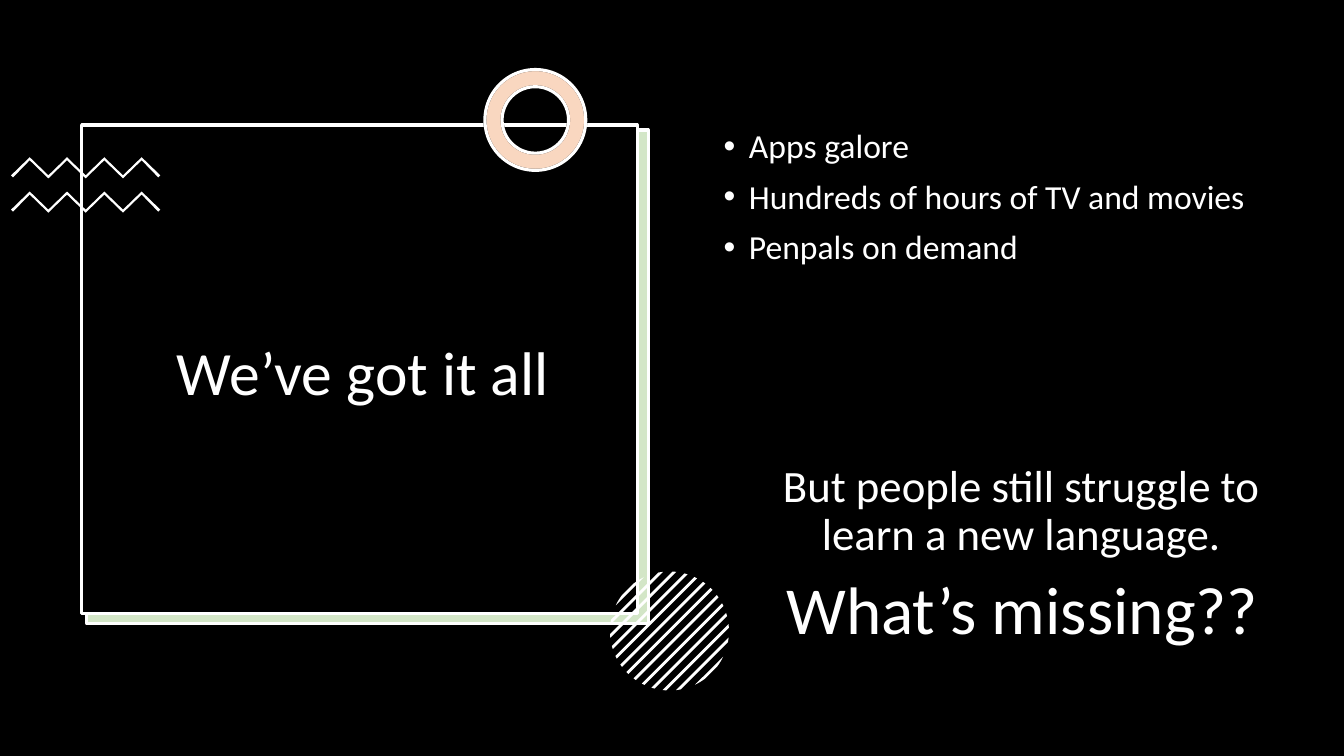
import math

from lxml import etree
from pptx import Presentation
from pptx import util as u
from pptx.dml.color import RGBColor
from pptx.enum import shapes, text
from pptx.oxml.ns import qn

WHITE, BLACK, GREEN, PEACH = "FFFFFF", "000000", "70AD47", "ED7D31"
Inches = u.Inches


def rgb(code):
    return RGBColor.from_string(code)


def paint(shape, fill, line=None, alpha=None):
    """Set fill, outline and fill opacity in percent."""
    shape.shadow.inherit = False
    shape.fill.solid()
    shape.fill.fore_color.rgb = rgb(fill)
    if alpha:
        color = shape.fill._xPr.find(".//" + qn("a:srgbClr"))
        etree.SubElement(color, qn("a:alpha")).set("val", str(alpha * 1000))
    if line:
        shape.line.color.rgb = rgb(line)
        shape.line.width = u.Pt(2.25)
    else:
        shape.line.fill.background()


def add_box(slide, box, fill, line=None, alpha=None, kind="RECTANGLE"):
    shape = slide.shapes.add_shape(
        shapes.MSO_SHAPE[kind], *[Inches(v) for v in box])
    paint(shape, fill, line, alpha)
    return shape


def add_poly(group, points):
    pts = [(Inches(x), Inches(y)) for x, y in points]
    build = group.shapes.build_freeform(*pts[0], scale=1.0)
    build.add_line_segments(pts[1:], close=True)
    paint(build.convert_to_shape(), WHITE)


def add_frame(slide, left, top):
    """Outlined panel with a pale green panel showing behind it."""
    add_box(slide, (left + 0.04, top + 0.06, 5.57, 4.9), WHITE)
    add_box(slide, (left + 0.05, top + 0.05, 5.57, 4.9), GREEN, WHITE, 30)
    add_box(slide, (left, top, 5.51, 4.85), BLACK, WHITE)


def add_waves(slide, left, top, width):
    group = slide.shapes.add_group_shape()
    step = width / 8
    for y in (top, top + 0.34):
        upper = [(left + k * step, y if k % 2 else y + 0.18)
                 for k in range(9)]
        lower = [(x, v + 0.03) for x, v in upper[1:-1]]
        ends = [(left + width - 0.02, y + 0.2), (left + 0.02, y + 0.2)]
        add_poly(group, upper + ends[:1] + lower[::-1] + ends[1:])


def add_ring(slide, left, top, size):
    for look in ((WHITE, BLACK), (PEACH, WHITE, 30)):
        ring = add_box(slide, (left, top, size, size), *look, kind="DONUT")
        ring.adjustments[0] = 0.17


def add_disc(slide, mid_x, mid_y, radius):
    """Circle made of 13 diagonal stripes."""
    group = slide.shapes.add_group_shape()
    gap, half, parts = 0.095, 0.014, 6
    for k in range(-6, 7):
        near, far = [math.acos(max(-1, min(1, (k * gap + d) / radius)))
                     for d in (-half, half)]
        arc = [near + (far - near) * i / parts for i in range(parts + 1)]
        turns = arc + [-a for a in reversed(arc)]
        add_poly(group, [(mid_x + radius * math.cos(math.pi / 4 + a),
                          mid_y + radius * math.sin(math.pi / 4 + a))
                         for a in turns])


def set_bullet(para):
    props = para._p.get_or_add_pPr()
    props.set("marL", str(Inches(0.25)))
    props.set("indent", str(-Inches(0.25)))
    etree.SubElement(props, qn("a:buFont")).set("typeface", "Arial")
    etree.SubElement(props, qn("a:buChar")).set("char", "•")


def write(shape, lines, size, center=True, bullets=False):
    frame = shape.text_frame
    frame.word_wrap = True
    frame.auto_size = text.MSO_AUTO_SIZE.NONE
    frame.text = "\n".join(lines)
    for i, para in enumerate(frame.paragraphs):
        para.line_spacing = 0.9
        para.space_before = u.Pt(10 if i else 0)
        para.alignment = text.PP_ALIGN.CENTER if center else text.PP_ALIGN.LEFT
        if bullets:
            set_bullet(para)
        para.font.size = u.Pt(size)
        para.font.name = "Calibri"
        para.font.color.rgb = rgb(WHITE)


def add_title(slide, box, words):
    title = slide.shapes.title
    title.left, title.top, title.width, title.height = map(Inches, box)
    write(title, [words], 44)
    title.text_frame.vertical_anchor = text.MSO_ANCHOR.MIDDLE
    slide.shapes._spTree.append(title._element)  # bring to front


def add_text(slide, box, lines, size, **look):
    write(slide.shapes.add_textbox(*map(Inches, box)), lines, size, **look)


def main():
    deck = Presentation()
    deck.slide_width, deck.slide_height = Inches(13.33), Inches(7.5)
    slide = deck.slides.add_slide(deck.slide_layouts[5])
    add_box(slide, (0, 0, 13.33, 7.5), BLACK)
    add_frame(slide, 0.81, 1.24)
    add_waves(slide, 0.11, 1.56, 1.48)
    add_ring(slide, 4.81, 0.69, 1)
    add_disc(slide, 6.64, 6.26, 0.59)
    add_title(slide, (0.92, 1.52, 5.36, 4.42), "We’ve got it all")
    add_text(slide, (7.08, 1.24, 5.44, 2.07),
             ["Apps galore", "Hundreds of hours of TV and movies",
              "Penpals on demand"], 24, center=False, bullets=True)
    add_text(slide, (7.41, 4.55, 5.44, 1.11),
             ["But people still struggle to learn a new language."], 32)
    add_text(slide, (7.42, 5.67, 5.44, 1.11), ["What’s missing??"], 48)
    deck.save("out.pptx")


if __name__ == "__main__":
    main()
